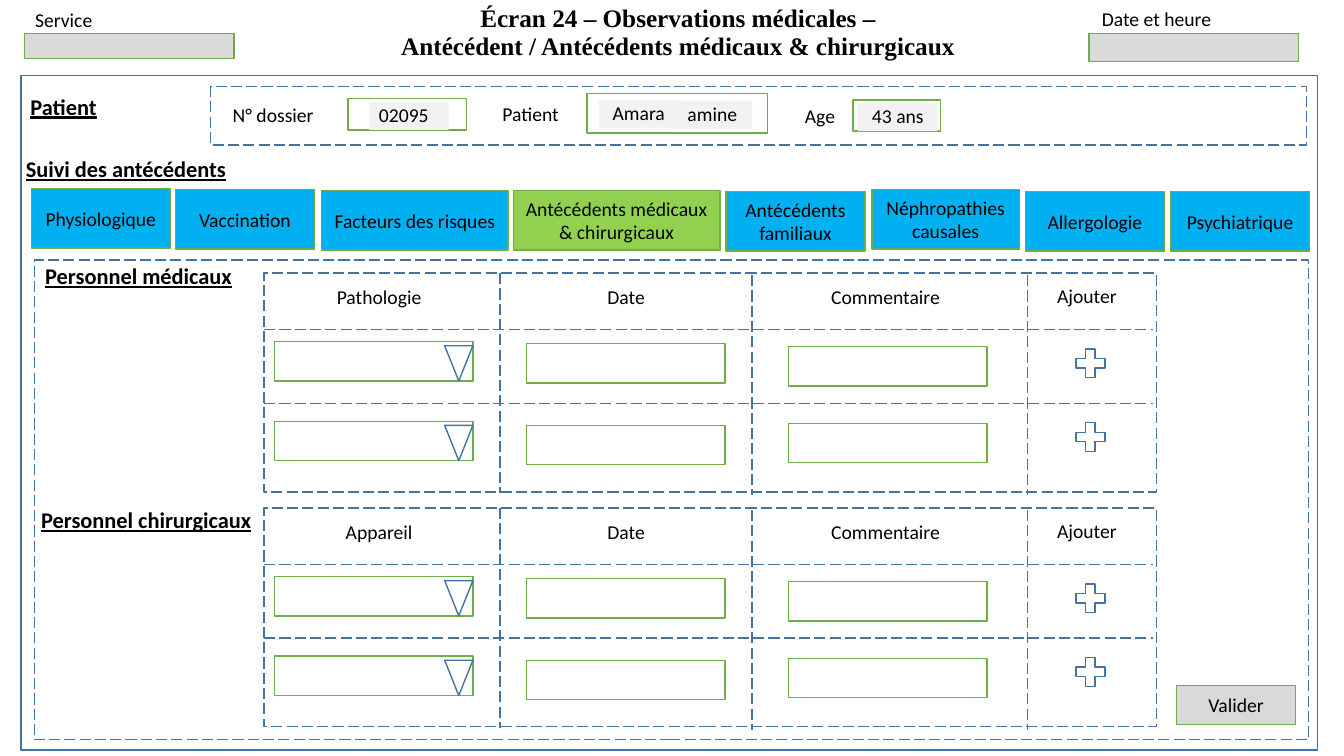
from pptx import Presentation
from pptx.dml.color import RGBColor
from pptx.enum.dml import MSO_LINE
from pptx.enum.shapes import MSO_CONNECTOR, MSO_SHAPE
from pptx.enum.text import MSO_ANCHOR, PP_ALIGN
from pptx.oxml.ns import qn
from pptx.util import Inches, Pt

RECT, TRIANGLE, PLUS = MSO_SHAPE.RECTANGLE, MSO_SHAPE.ISOSCELES_TRIANGLE, MSO_SHAPE.MATH_PLUS
STRAIGHT, DASH = MSO_CONNECTOR.STRAIGHT, MSO_LINE.LONG_DASH
LEFT, CENTER = PP_ALIGN.LEFT, PP_ALIGN.CENTER
TOP, MIDDLE, BOTTOM = MSO_ANCHOR.TOP, MSO_ANCHOR.MIDDLE, MSO_ANCHOR.BOTTOM
COLORS = {"text": "000000", "frame": "43739E", "field": "70AD47", "grey": "D9D9D9",
          "value": "F2F2F2", "tab": "00B0F0", "active": "92D050"}

prs = Presentation()
prs.slide_width, prs.slide_height = Inches(13.33), Inches(7.5)
slide = prs.slides.add_slide(prs.slide_layouts[6])


def add_box(x, y, w, h, line="field", fill=None, kind=RECT, dash=None):
    sp = slide.shapes.add_shape(kind, Inches(x), Inches(y), Inches(w), Inches(h))
    sp.shadow.inherit = False
    if fill:
        sp.fill.solid()
        sp.fill.fore_color.rgb = RGBColor.from_string(COLORS[fill])
    else:
        sp.fill.background()
    if line:
        sp.line.color.rgb = RGBColor.from_string(COLORS[line])
        sp.line.width = Pt(1)
        if dash:
            sp.line.dash_style = dash
    else:
        sp.line.fill.background()
    return sp


def write(text, at=None, sp=None, size=14, heading=False, align=CENTER, anchor=MIDDLE,
          spacing=0.95, wrap=True, font="Calibri"):
    """Put text in the given shape, or in a new text box placed at (x, y, w, h)."""
    sp = sp or slide.shapes.add_textbox(*[Inches(v) for v in at])
    tf = sp.text_frame
    tf.text = text
    tf.word_wrap = wrap
    tf.vertical_anchor = anchor
    for p in tf.paragraphs:
        p.alignment = align
        p.line_spacing = spacing
        for r in p.runs:
            r.font.name = font
            r.font.size = Pt(size)
            r.font.color.rgb = RGBColor.from_string(COLORS["text"])
            if heading:
                r.font.bold = True
                r.font.underline = font == "Calibri"


# Page header
title = "Écran 24 – Observations médicales –\nAntécédent / Antécédents médicaux & chirurgicaux"
write(title, (3.45, 0.07, 6.55, 0.59), size=18, heading=True, anchor=BOTTOM,
      font="Times New Roman")
add_box(0.21, 0.75, 12.86, 6.69, "frame")
add_box(0.24, 0.33, 2.08, 0.25, fill="grey")
add_box(10.8, 0.33, 2.08, 0.28, fill="grey")
write("Service", (0.25, 0.03, 1.4, 0.34), align=LEFT, anchor=TOP, spacing=1.0)
write("Date et heure", (10.83, 0.02, 1.3, 0.34), align=LEFT, anchor=TOP, spacing=1.0, wrap=False)

# Patient band
write("Patient", (0.04, 0.77, 1.18, 0.59), size=16, heading=True)
add_box(2.09, 0.86, 10.87, 0.58, "frame", dash=DASH)
for label, x, y, w in [("N° dossier", 2.15, 0.93, 1.12), ("Patient ", 4.76, 0.92, 1.05),
                       ("Age ", 7.85, 0.94, 0.61)]:
    write(label, (x, y, w, 0.43))
for x, y, w, h in [(3.45, 0.98, 1.18, 0.31), (5.82, 0.93, 1.79, 0.39), (8.46, 0.99, 0.87, 0.31)]:
    add_box(x, y, w, h)
for value, x, y, align in [("02095", 3.66, 1.01, LEFT), ("Amara", 5.94, 0.99, CENTER),
                           ("amine", 6.67, 1.0, CENTER), ("43 ans", 8.51, 1.02, CENTER)]:
    write(value, sp=add_box(x, y, 0.79, 0.28, line=None, fill="value"), align=align)

# Tabs
write("Suivi des antécédents", (0.08, 1.39, 2.34, 0.59), size=16, heading=True)
for label, x, y, w, fill in [
    ("Physiologique", 0.31, 1.87, 1.38, "tab"),
    ("Vaccination", 1.74, 1.88, 1.38, "tab"),
    ("Facteurs des risques", 3.19, 1.89, 1.85, "tab"),
    ("Antécédents médicaux & chirurgicaux", 5.09, 1.89, 2.05, "active"),
    ("Antécédents familiaux", 7.2, 1.9, 1.38, "tab"),
    ("Néphropathies causales", 8.65, 1.88, 1.46, "tab"),
    ("Allergologie", 10.17, 1.9, 1.38, "tab"),
    ("Psychiatrique", 11.61, 1.9, 1.38, "tab"),
]:
    write(label, sp=add_box(x, y, w, 0.59, fill=fill), spacing=1.0)

# Entry forms: the same grid twice, the second one lower
add_box(0.34, 2.58, 12.64, 4.76, "frame", dash=DASH)
write("Personnel médicaux", (0.35, 2.55, 2.08, 0.37), size=16, heading=True,
      align=LEFT, anchor=TOP, spacing=1.0, wrap=False)
write("Personnel chirurgicaux", (0.31, 4.97, 2.32, 0.37), size=16, heading=True,
      align=LEFT, anchor=TOP, spacing=1.0, wrap=False)
for first_column, dy in [("Pathologie", 0), ("Appareil", 2.33)]:
    add_box(2.62, 2.71 + dy, 8.85, 2.17, "frame", dash=DASH)
    for label, x, w in [(first_column, 3.17, 1.18), ("Date", 5.62, 1.18),
                        ("Commentaire ", 8.02, 1.57)]:
        write(label, (x, 2.76 + dy, w, 0.39))
    write("Ajouter", (10.29, 2.75 + dy, 0.98, 0.39), anchor=TOP, spacing=1.07)

    for list_y, date_y, comment_y, plus_y in [(3.39, 3.41, 3.44, 3.41), (4.18, 4.22, 4.2, 4.14)]:
        for x, y in [(2.72, list_y), (5.22, date_y), (7.82, comment_y)]:
            add_box(x, y + dy, 1.97, 0.39)
        arrow = add_box(4.41, list_y + 0.04 + dy, 0.28, 0.35, "frame", kind=TRIANGLE)
        arrow.rotation = 180
        add_box(10.62, plus_y + dy, 0.39, 0.39, "frame", kind=PLUS)

    for x1, y1, x2, y2 in [(4.96, 2.71, 4.96, 4.89), (7.46, 2.73, 7.46, 4.91),
                           (10.19, 2.73, 10.19, 4.91), (2.62, 3.27, 11.44, 3.27),
                           (2.62, 4.0, 11.44, 4.0)]:
        rule = slide.shapes.add_connector(STRAIGHT, Inches(x1), Inches(y1 + dy),
                                          Inches(x2), Inches(y2 + dy))
        rule.line.color.rgb = RGBColor.from_string(COLORS["frame"])
        rule.line.width = Pt(1)
        rule.line.dash_style = DASH
        sp_pr = rule._element.spPr
        sp_pr.append(sp_pr.makeelement(qn("a:effectLst"), {}))

write("Valider", sp=add_box(11.67, 6.8, 1.18, 0.39, fill="grey"), spacing=1.0)

prs.save("out.pptx")
